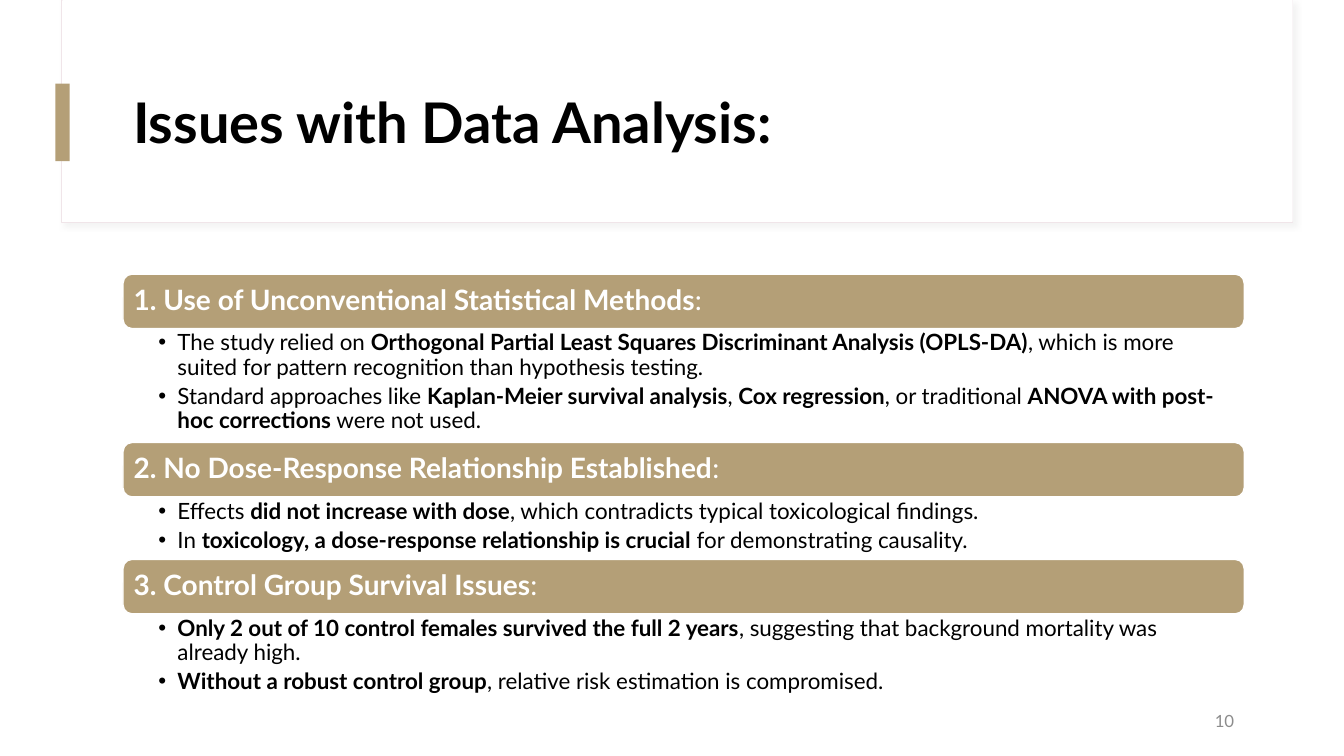
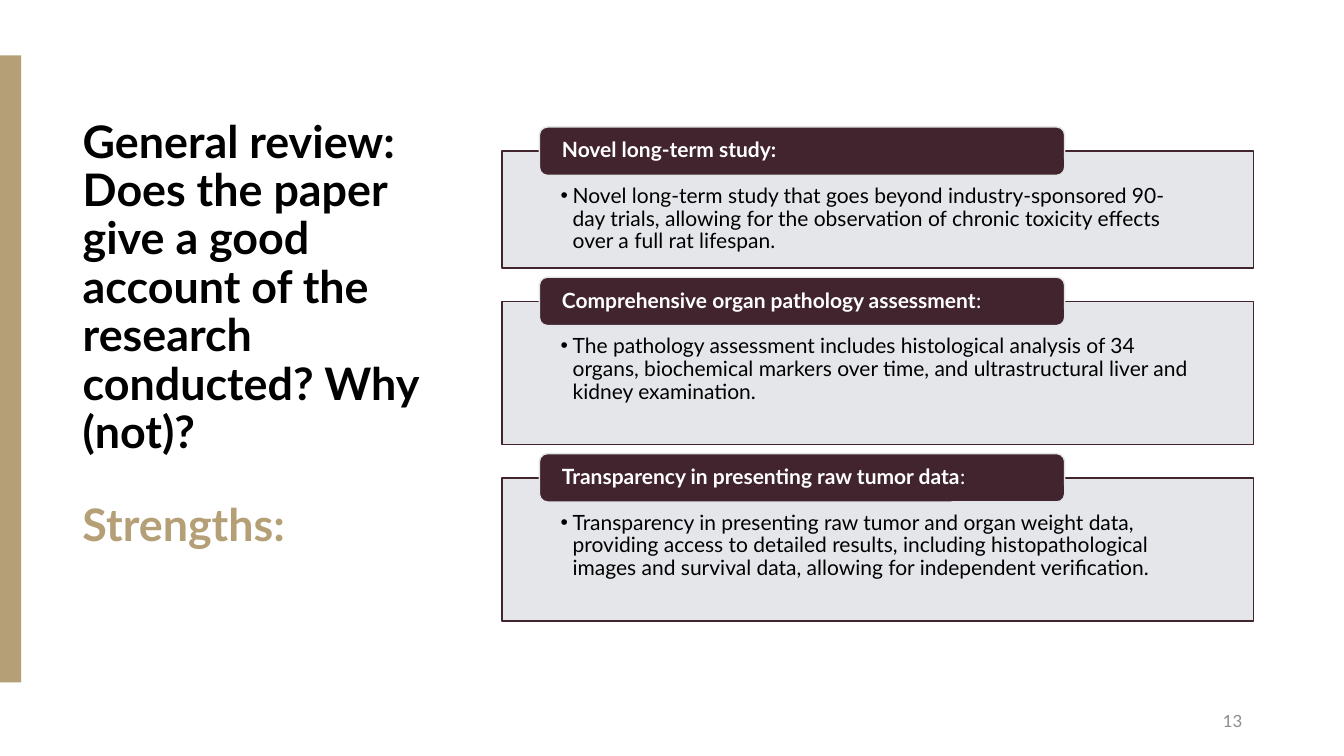
from collections import namedtuple

from lxml import etree
from pptx import Presentation
from pptx.dml.color import RGBColor
from pptx.enum.shapes import MSO_SHAPE
from pptx.enum.text import MSO_ANCHOR, MSO_AUTO_SIZE, PP_ALIGN
from pptx.oxml.ns import qn
from pptx.util import Emu, Pt

RECT, ROUNDED = MSO_SHAPE.RECTANGLE, MSO_SHAPE.ROUNDED_RECTANGLE
TOP, MIDDLE = MSO_ANCHOR.TOP, MSO_ANCHOR.MIDDLE
LEFT, RIGHT = PP_ALIGN.LEFT, PP_ALIGN.RIGHT
NO_FIT = MSO_AUTO_SIZE.NONE
TITLE_ONLY = 5

SCALE = 9144
FONT = "Lato"
GOLD, PLUM, MIST = "B49F77", "41242E", "E2E4E8"
BLACK, WHITE, GREY = "000000", "FFFFFF", "8C8C8C"
FRAME_LINE, SHADOW = "F0E5E9", "D9D9D9"

Box = namedtuple("Box", "left top width height")

ISSUES = [
    ("**1. Use of Unconventional Statistical Methods**:", 113, [
        "The study relied on **Orthogonal Partial Least Squares Discriminant Analysis (OPLS-DA)**, "
        "which is more suited for pattern recognition than hypothesis testing.",
        "Standard approaches like **Kaplan-Meier survival analysis**, **Cox regression**, "
        "or traditional **ANOVA with post-hoc corrections** were not used."]),
    ("**2. No Dose-Response Relationship Established**:", 62, [
        "Effects **did not increase with dose**, which contradicts typical toxicological findings.",
        "In **toxicology, a dose-response relationship is crucial** for demonstrating causality."]),
    ("**3. Control Group Survival Issues**:", 86, [
        "**Only 2 out of 10 control females survived the full 2 years**, "
        "suggesting that background mortality was already high.",
        "**Without a robust control group**, relative risk estimation is compromised."]),
]

STRENGTHS = [
    ("**Novel long-term study:**", 116,
     "Novel long-term study that goes beyond industry-sponsored 90-day trials, allowing for "
     "the observation of chronic toxicity effects over a full rat lifespan."),
    ("**Comprehensive organ pathology assessment**:", 142,
     "The pathology assessment includes histological analysis of 34 organs, biochemical "
     "markers over time, and ultrastructural liver and kidney examination."),
    ("**Transparency in presenting raw tumor data**:", 142,
     "Transparency in presenting raw tumor and organ weight data, providing access to "
     "detailed results, including histopathological images and survival data, allowing for "
     "independent verification."),
]


def px(length):
    """Turn px into EMU."""
    return Emu(length * SCALE)


def colour(value):
    """Turn a hex string into a colour."""
    return RGBColor.from_string(value)


def apply(target, values):
    """Set each named attribute on the target."""
    for name, value in values.items():
        setattr(target, name, value)


def add_block(page, box, fill, line=None, width=1, kind=RECT):
    """Add a flat filled shape."""
    block = page.shapes.add_shape(kind, *map(px, box))
    block.shadow.inherit = False
    block.fill.solid()
    block.fill.fore_color.rgb = colour(fill)
    if line:
        block.line.color.rgb = colour(line)
        block.line.width = Pt(width)
    else:
        block.line.fill.background()
    return block


def add_bullet(para, indent):
    """Give a paragraph a hanging bullet."""
    properties = para._p.get_or_add_pPr()
    properties.set("marL", str(px(indent)))
    properties.set("indent", str(px(-indent)))
    etree.SubElement(properties, qn("a:buFont"), typeface="Arial")
    etree.SubElement(properties, qn("a:buChar"), char="•")


def write(shape, texts, size, ink, insets=(10, 5, 10, 5), anchor=TOP, align=LEFT,
          spacing=0.9, after=0, indent=0):
    """Fill a shape with paragraphs whose **marked** parts are bold."""
    frame = shape.text_frame
    sides = ("margin_left", "margin_top", "margin_right", "margin_bottom")
    apply(frame, dict(zip(sides, map(px, insets))))
    apply(frame, {"auto_size": NO_FIT, "word_wrap": True, "vertical_anchor": anchor})
    for index, text in enumerate(texts):
        para = frame.add_paragraph() if index else frame.paragraphs[0]
        apply(para, {"alignment": align, "line_spacing": spacing,
                     "space_before": Pt(0), "space_after": Pt(after)})
        if indent:
            para.level = 1
            add_bullet(para, indent)
        for order, part in enumerate(text.split("**")):
            if part:
                span = para.add_run()
                span.text = part
                apply(span.font, {"name": FONT, "size": Pt(size), "bold": order % 2 == 1})
                span.font.color.rgb = colour(ink)


def add_label(page, box, text, size, ink, **layout):
    """Add a text box with one paragraph."""
    write(page.shapes.add_textbox(*map(px, box)), [text], size, ink, **layout)


def set_title(page, box, text, size):
    """Place the title above the shapes drawn so far."""
    title = page.shapes.title
    apply(title, dict(zip(Box._fields, map(px, box))))
    title.element.getparent().append(title.element)
    write(title, [f"**{text}**"], size, BLACK, anchor=MIDDLE)


def add_number(page, right, number):
    """Add the page number, ending at the given right edge."""
    add_label(page, Box(right - 300, 695, 300, 40), number, 12, GREY,
              anchor=MIDDLE, align=RIGHT, spacing=1.0)


def add_title_frame(page, box):
    """Draw the shadowed title panel and its gold marker."""
    panel = add_block(page, box, WHITE, FRAME_LINE, 0.75)
    effects = panel.element.spPr.find(qn("a:effectLst"))
    shadow = etree.SubElement(effects, qn("a:outerShdw"), blurRad=str(Pt(4)),
                              dist=str(Pt(3)), dir=str(45 * 60000), algn="tl", rotWithShape="0")
    tint = etree.SubElement(shadow, qn("a:srgbClr"), val=SHADOW)
    etree.SubElement(tint, qn("a:alpha"), val="30000")
    add_block(page, Box(box.left + 1, box.top, box.width - 1, box.height - 1), WHITE)
    add_block(page, Box(box.left - 6, box.top + 83, 14, 77), GOLD)


def add_sections(page, box, sections):
    """Stack gold headings, each followed by its bullets."""
    heading_height, top = 54, box.top
    for heading, height, points in sections:
        bar = add_block(page, Box(box.left, top, box.width, heading_height),
                        GOLD, WHITE, kind=ROUNDED)
        write(bar, [heading], 20, WHITE, insets=(8, 8, 8, 8), anchor=MIDDLE)
        top += heading_height
        body = page.shapes.add_textbox(*map(px, Box(box.left, top, box.width, height)))
        write(body, points, 16, BLACK, insets=(35, 3, 16, 3), after=3.5, indent=19)
        top += height


def add_cards(page, box, cards):
    """Stack outlined cards with a dark tab over each top edge."""
    gap, top = 33, box.top
    for heading, height, text in cards:
        card = add_block(page, Box(box.left, top, box.width, height), MIST, PLUM)
        tint = card.element.spPr.find(qn("a:solidFill"))[0]
        etree.SubElement(tint, qn("a:alpha"), val="90000")
        write(card, [text], 15, BLACK, insets=(58, 34, 58, 12), indent=12)
        tab = add_block(page, Box(box.left + 37, top - 24, box.width * 7 // 10, 48),
                        PLUM, MIST, kind=ROUNDED)
        write(tab, [heading], 15, WHITE, insets=(20, 0, 20, 0), anchor=MIDDLE)
        top += height + gap


def build_issues(page):
    """Build the data analysis slide."""
    add_title_frame(page, Box(61, 0, 1221, 221))
    set_title(page, Box(122, 60, 1112, 129), "Issues with Data Analysis:", 40)
    add_sections(page, Box(122, 272, 1112, 423), ISSUES)
    add_number(page, 1234, "10")


def build_strengths(page):
    """Build the general review slide."""
    add_block(page, Box(0, 55, 21, 622), GOLD)
    set_title(page, Box(72, 105, 370, 363), "General review: Does the paper give a good "
              "account of the research conducted? Why (not)?", 32)
    add_label(page, Box(72, 488, 296, 64), "**Strengths:**", 32, GOLD, spacing=1.0)
    add_cards(page, Box(498, 150, 745, 466), STRENGTHS)
    add_number(page, 1242, "13")


def main():
    """Build and save the deck."""
    deck = Presentation()
    apply(deck, {"slide_width": px(1333), "slide_height": px(750)})
    for build in (build_issues, build_strengths):
        build(deck.slides.add_slide(deck.slide_layouts[TITLE_ONLY]))
    deck.save("out.pptx")


if __name__ == "__main__":
    main()
